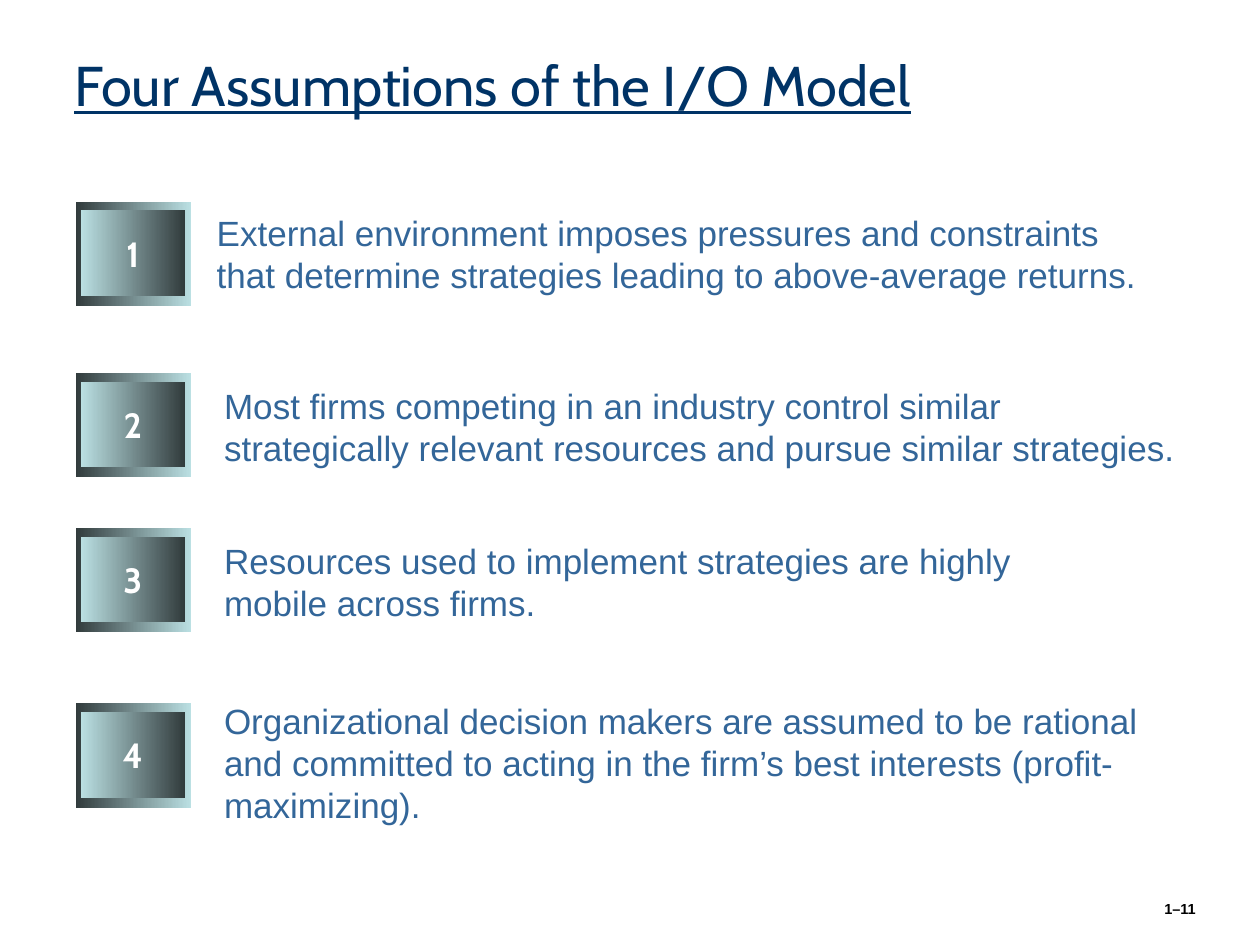
from pptx import Presentation
from pptx.dml import color
from pptx.enum import shapes, text
from pptx.oxml import parse_xml
from pptx.oxml import ns
from pptx.util import Inches, Pt

NAVY, BLUE, AQUA, SLATE = "003366", "336699", "BBE0E3", "313B3C"

# Badge top, text box (left, top, width, height), wording
ASSUMPTIONS = [
    (1.6, (1.62, 1.63, 7.63, 0.79),
     "External environment imposes pressures and constraints that determine "
     "strategies leading to above-average returns."),
    (2.96, (1.68, 3, 7.82, 0.75),
     "Most firms competing in an industry control similar strategically "
     "relevant resources and pursue similar strategies."),
    (4.19, (1.68, 4.23, 6.67, 0.76),
     "Resources used to implement strategies are highly mobile across firms."),
    (5.58, (1.68, 5.5, 7.5, 1.08),
     "Organizational decision makers are assumed to be rational and committed "
     "to acting in the firm’s best interests (profit-maximizing)."),
]


def rgb(value):
    return color.RGBColor.from_string(value)


def place(shape, left, top, width, height):
    shape.left, shape.top = Inches(left), Inches(top)
    shape.width, shape.height = Inches(width), Inches(height)


def write(shape, words, size, fill, font="Arial", bold=False, underline=False,
          align=text.PP_ALIGN.LEFT, anchor=text.MSO_ANCHOR.TOP, before=0,
          side=0.1, wrap=True):
    frame = shape.text_frame
    frame.word_wrap = wrap
    frame.auto_size = text.MSO_AUTO_SIZE.NONE
    frame.vertical_anchor = anchor
    frame.margin_left = frame.margin_right = Inches(side)
    frame.margin_top = frame.margin_bottom = Inches(0.05)
    para = frame.paragraphs[0]
    para.alignment = align
    para.space_before = Pt(before)
    span = para.add_run()
    span.text = words
    span.font.name, span.font.size = font, Pt(size)
    span.font.bold, span.font.underline = bold, underline
    span.font.color.rgb = rgb(fill)
    return para


def remove_bullet(para):
    props = para._p.get_or_add_pPr()
    props.set("marL", "0")
    props.set("indent", "0")
    props.append(parse_xml(f"<a:buNone {ns.nsdecls('a')}/>"))


def add_gradient_box(parent, area, start, end):
    box = parent.shapes.add_shape(shapes.MSO_SHAPE.RECTANGLE,
                                  *(Inches(length) for length in area))
    box.shadow.inherit = False
    box.line.fill.background()
    box.fill.gradient()
    box.fill.gradient_angle = 0
    for stop, shade in zip(box.fill.gradient_stops, (start, end)):
        stop.color.rgb = rgb(shade)
    return box


def add_badge(page, left, top, number):
    """Numbered bevel: an inner gradient running against the outer one."""
    group = page.shapes.add_group_shape()
    add_gradient_box(group, (left, top, 0.92, 0.83), SLATE, AQUA)
    face = add_gradient_box(group, (left + 0.04, top + 0.07, 0.83, 0.68),
                            AQUA, SLATE)
    write(face, str(number), 20, "FFFFFF", font="Cabin", bold=True, wrap=False,
          align=text.PP_ALIGN.CENTER, anchor=text.MSO_ANCHOR.MIDDLE)


def add_title(page, area):
    title = page.shapes.title
    place(title, *area)
    write(title, "Four Assumptions of the I/O Model", 32, NAVY, font="Cabin",
          underline=True, anchor=text.MSO_ANCHOR.MIDDLE)


def add_assumptions(page, left):
    for number, (top, area, words) in enumerate(ASSUMPTIONS, 1):
        add_badge(page, left, top, number)
        if number == 1:
            box = page.placeholders[1]
            place(box, *area)
        else:
            box = page.shapes.add_textbox(*(Inches(length) for length in area))
        para = write(box, words, 20, BLUE, before=5)
        if number == 1:
            remove_bullet(para)


def add_page_number(page, area):
    box = page.shapes.add_textbox(*(Inches(length) for length in area))
    write(box, "1–11", 8.3, "000000", bold=True, side=0,
          align=text.PP_ALIGN.RIGHT, anchor=text.MSO_ANCHOR.BOTTOM)


def main():
    deck = Presentation()
    deck.slide_width, deck.slide_height = Inches(10), Inches(7.5)
    page = deck.slides.add_slide(deck.slide_layouts[1])
    add_title(page, (0.49, 0.34, 9, 0.66))
    add_assumptions(page, 0.6)
    add_page_number(page, (8.07, 7.08, 1.42, 0.25))
    deck.save("out.pptx")


if __name__ == "__main__":
    main()
